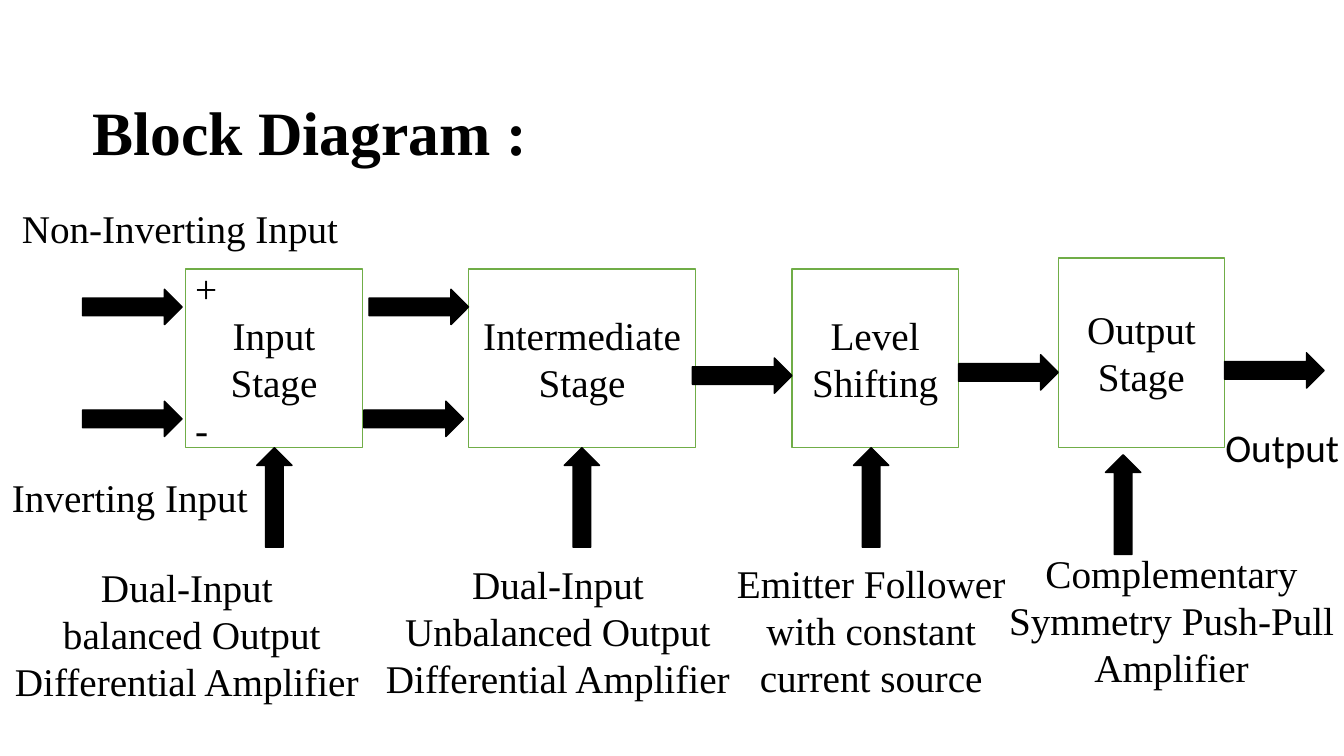
"""Builds the block diagram slide of an operational amplifier."""
from pptx import Presentation
from pptx.dml.color import RGBColor
from pptx.enum.shapes import MSO_SHAPE
from pptx.enum.text import MSO_ANCHOR, MSO_AUTO_SIZE, PP_ALIGN
from pptx.util import Cm, Pt

COLOURS = {"ink": "000000", "paper": "FFFFFF", "border": "70AD47"}
SERIF = "Times New Roman"
LEFT, CENTRE = PP_ALIGN.LEFT, PP_ALIGN.CENTER


def colour(name):
    return RGBColor.from_string(COLOURS[name])


def write(frame, text, size=28, font=SERIF, bold=False, aligns=(LEFT,)):
    lines = text.split("\n")
    for index, line in enumerate(lines):
        para = frame.add_paragraph() if index else frame.paragraphs[0]
        para.alignment = aligns[index % len(aligns)]
        span = para.add_run()
        span.text = line
        span.font.size = Pt(size)
        span.font.name = font
        span.font.bold = bold
        span.font.color.rgb = colour("ink")


class Diagram:
    arrow_length, arrow_height = 2.51, 0.89
    line_width = 1

    def __init__(self, page):
        self.page = page

    def shape(self, kind, left, top, width, height, fill, line):
        shape = self.page.shapes.add_shape(kind, Cm(left), Cm(top), Cm(width), Cm(height))
        shape.shadow.inherit = False
        shape.fill.solid()
        shape.fill.fore_color.rgb = colour(fill)
        shape.line.color.rgb = colour(line)
        shape.line.width = Pt(self.line_width)
        return shape

    def stage(self, text, left, top, width, height, aligns=(CENTRE,)):
        box = self.shape(MSO_SHAPE.RECTANGLE, left, top, width, height, "paper", "border")
        box.text_frame.word_wrap = True
        box.text_frame.vertical_anchor = MSO_ANCHOR.MIDDLE
        write(box.text_frame, text, aligns=aligns)

    def arrow(self, left, top, rotation=0):
        arrow = self.shape(MSO_SHAPE.RIGHT_ARROW, left, top,
                           self.arrow_length, self.arrow_height, "ink", "ink")
        arrow.rotation = rotation

    def label(self, text, left, top, width, height, wrap=False, **style):
        box = self.page.shapes.add_textbox(Cm(left), Cm(top), Cm(width), Cm(height))
        box.text_frame.word_wrap = wrap
        box.text_frame.auto_size = MSO_AUTO_SIZE.SHAPE_TO_FIT_TEXT
        write(box.text_frame, text, **style)


def main():
    deck = Presentation()
    deck.slide_width, deck.slide_height = Cm(33.87), Cm(19.05)
    diagram = Diagram(deck.slides.add_slide(deck.slide_layouts[6]))

    diagram.stage("+\nInput Stage\n-", 4.67, 6.78, 4.47, 4.5, aligns=(LEFT, CENTRE, LEFT))
    diagram.stage("Intermediate Stage", 11.81, 6.78, 5.72, 4.5)
    diagram.stage("Level Shifting", 19.96, 6.78, 4.19, 4.5)
    diagram.stage("Output Stage", 26.67, 6.5, 4.19, 4.78)

    signal_arrows = [(2.08, 7.29), (2.08, 10.11), (9.3, 7.29), (9.17, 10.11),
                     (17.45, 9.02), (24.16, 8.94), (30.86, 8.89)]
    for left, top in signal_arrows:
        diagram.arrow(left, top)
    for left, top in [(5.66, 12.09), (13.41, 12.09), (20.7, 12.09), (27.05, 12.27)]:
        diagram.arrow(left, top, rotation=270)

    captions = [
        ("Dual-Input\n balanced Output Differential Amplifier", 0, 14.07, 9.42),
        ("Dual-Input Unbalanced Output Differential Amplifier", 9.35, 14, 9.42),
        ("Emitter Follower with constant current source", 17.93, 13.97, 8.05),
        ("Complementary Symmetry Push-Pull Amplifier", 25.17, 13.72, 8.71),
    ]
    for text, left, top, width in captions:
        diagram.label(text, left, top, width, 3.84, wrap=True, aligns=(CENTRE,))

    diagram.label("Non-Inverting Input", 0.3, 5.03, 8.59, 1.45)
    diagram.label("Inverting Input", 0.05, 11.81, 6.53, 1.45)
    diagram.label("Output", 30.63, 10.54, 3.4, 1.45, font="Calibri")
    diagram.label("Block Diagram :", 2.08, 2.24, 16.71, 2.13, wrap=True, size=44, bold=True)
    deck.save("out.pptx")


if __name__ == "__main__":
    main()
